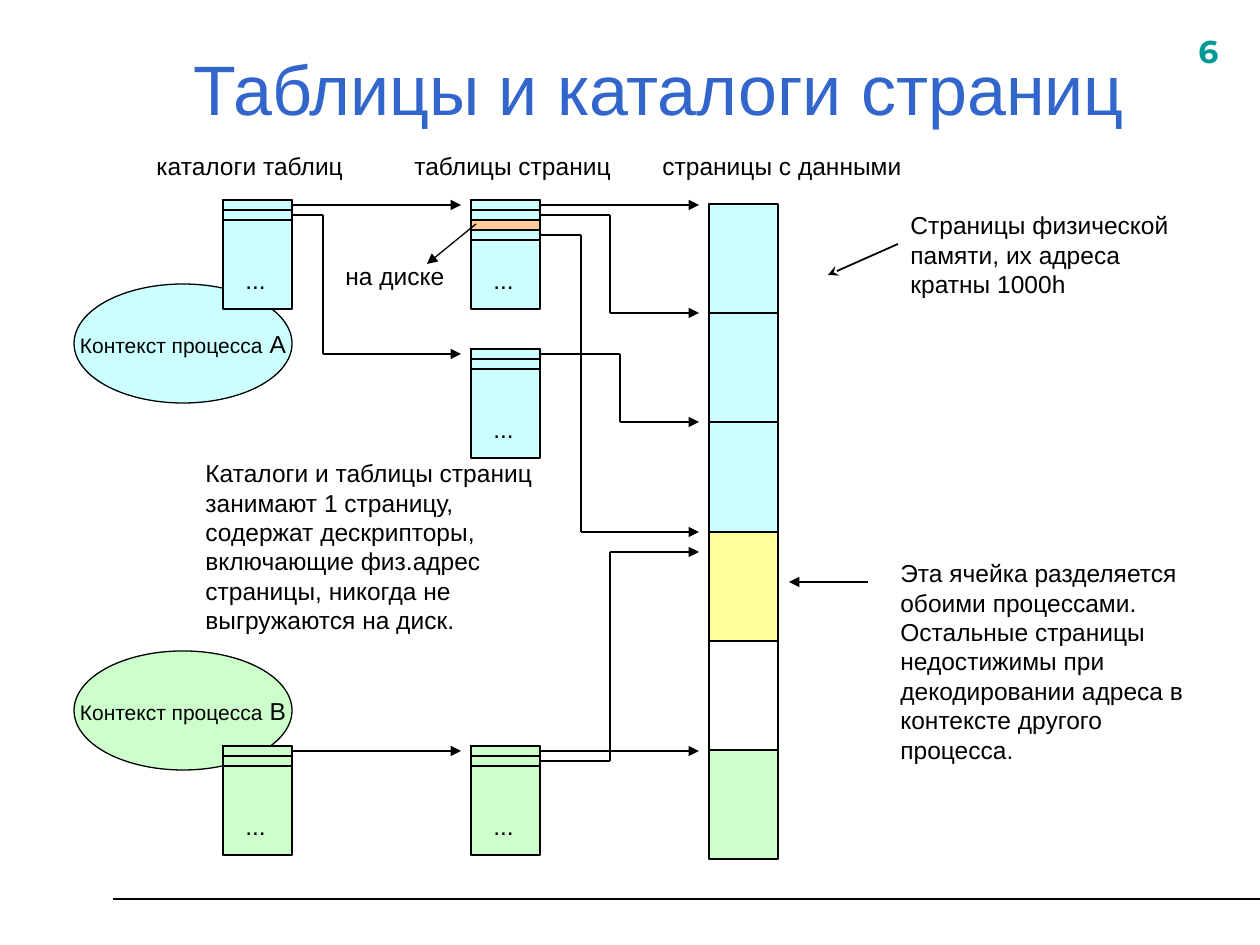
from dataclasses import dataclass

from pptx import Presentation
from pptx.dml.color import RGBColor
from pptx.enum.shapes import MSO_CONNECTOR as Connector, MSO_SHAPE as Preset
from pptx.enum.text import MSO_ANCHOR as Anchor, MSO_AUTO_SIZE as AutoSize, PP_ALIGN as Align
from pptx.oxml.ns import qn
from pptx.util import Emu, Pt
from lxml.etree import SubElement


@dataclass(frozen=True)
class Theme:
    font: str = "Arial"
    number_font: str = "Montserrat"
    ink: str = "000000"
    title: str = "3366CC"
    number: str = "009999"
    cyan: str = "CCFFFF"
    green: str = "CCFFCC"
    yellow: str = "FFFF99"
    orange: str = "FFCC99"
    white: str = "FFFFFF"
    title_size: float = 40
    number_size: float = 18
    body_size: float = 14
    small_size: float = 12
    thin: float = 0.75
    medium: float = 1
    thick: float = 1.25


THEME = Theme()
SCALE = 914400 / 126
CELL_WIDTH, TABLE_HEIGHT, ROW_HEIGHT = 69, 109, 10
DIRECTORY_X, TABLE_X, PAGE_X = 223, 471, 709
ARROW_GAP = 10


def px(value):
    return Emu(round(value * SCALE))


def apply(target, values):
    for name, value in values.items():
        setattr(target, name, value)


def place(shape, box):
    apply(shape, dict(zip(("left", "top", "width", "height"), map(px, box))))


def write(shape, runs, align=Align.LEFT, anchor=Anchor.TOP, wrap=True, fit=AutoSize.NONE):
    frame = shape.text_frame
    apply(frame, {"word_wrap": wrap, "vertical_anchor": anchor, "auto_size": fit})
    paragraph = frame.paragraphs[0]
    paragraph.alignment = align
    for text, size, color, font, bold in runs:
        run = paragraph.add_run()
        run.text = text
        apply(run.font, {"size": Pt(size), "name": font, "bold": bold})
        run.font.color.rgb = RGBColor.from_string(color)


def body(text, size=THEME.body_size):
    return text, size, THEME.ink, THEME.font, False


def add_label(slide, box, run):
    shape = slide.shapes.add_textbox(*map(px, box))
    write(shape, [run], fit=AutoSize.SHAPE_TO_FIT_TEXT)


def add_block(slide, box, color, preset=Preset.RECTANGLE, outlined=True):
    shape = slide.shapes.add_shape(preset, *map(px, box))
    shape.shadow.inherit = False
    shape.fill.solid()
    shape.fill.fore_color.rgb = RGBColor.from_string(color)
    if outlined:
        shape.line.color.rgb = RGBColor.from_string(THEME.ink)
        shape.line.width = Pt(THEME.thin)
    else:
        shape.line.fill.background()
    return shape


def add_line(slide, start, end, width=THEME.thin, head=None):
    line = slide.shapes.add_connector(Connector.STRAIGHT, *map(px, (*start, *end)))
    line.line.color.rgb = RGBColor.from_string(THEME.ink)
    line.line.width = Pt(width)
    if head:
        SubElement(line.line._get_or_add_ln(), qn("a:tailEnd"), type=head)
    SubElement(line._element.spPr, qn("a:effectLst"))
    return line


def add_route(slide, row, end, bend=None):
    start = tuple(round(value / SCALE) for value in
                  (row.left + row.width, row.top + row.height / 2))
    points = [start, end]
    if bend:
        points[1:1] = [(bend, start[1]), (bend, end[1])]
    last = len(points) - 2
    for index, (first, second) in enumerate(zip(points, points[1:])):
        line = add_line(slide, first, second, head="triangle" if index == last else None)
        if index == 0:
            line.begin_connect(row, 3)


def add_header(slide, box):
    left, top, width, height = box
    title = slide.shapes.title
    place(title, (left + 92, top + 40, width - 126, height - 50))
    write(title, [("Таблицы и каталоги страниц", THEME.title_size, THEME.title, THEME.font, False)],
          Align.CENTER, Anchor.MIDDLE)
    add_label(slide, (left + width - 74, top + 26, 79, 55),
              ("6", THEME.number_size, THEME.number, THEME.number_font, True))


def add_context(slide, box, color, letter):
    ellipse = add_block(slide, box, color, Preset.OVAL)
    write(ellipse, [body("Контекст процесса", THEME.small_size), body(f" {letter}")],
          Align.CENTER, Anchor.MIDDLE, wrap=False)


def add_page_table(slide, left, top, color, row_colors):
    add_block(slide, (left, top, CELL_WIDTH, TABLE_HEIGHT), color)
    rows = [add_block(slide, (left, top + index * ROW_HEIGHT, CELL_WIDTH, ROW_HEIGHT), row_color)
            for index, row_color in enumerate(row_colors)]
    dots = add_block(slide, (left + 10, top + 59, 49, 43), color, outlined=False)
    write(dots, [body("...")])
    return rows


def add_pages(slide, box, colors):
    left, top, width, height = box
    edges = [top + round(index * height / len(colors)) for index in range(len(colors) + 1)]
    for upper, lower, color in zip(edges, edges[1:], colors):
        add_block(slide, (left, upper, width, lower - upper), color)
    return edges


def add_diagram(slide, box):
    left, top, width, height = box
    cyan, green = THEME.cyan, THEME.green
    directory_x, table_x, page_x = (left + x for x in (DIRECTORY_X, TABLE_X, PAGE_X))
    add_context(slide, (left + 74, top + 451, 218, 119), green, "B")
    add_context(slide, (left + 74, top + 84, 218, 119), cyan, "А")
    edges = add_pages(slide, (page_x, top + 4, CELL_WIDTH, height - 4),
                      [cyan, cyan, cyan, THEME.yellow, THEME.white, green])
    directory_a = add_page_table(slide, directory_x, top, cyan, [cyan] * 2)
    table_a = add_page_table(slide, table_x, top, cyan, [cyan, cyan, THEME.orange, cyan])
    second_a = add_page_table(slide, table_x, top + 149, cyan, [cyan] * 2)
    directory_b = add_page_table(slide, directory_x, top + 546, green, [green] * 2)
    table_b = add_page_table(slide, table_x, top + 546, green, [green] * 2)

    table_end, page_end = table_x - ARROW_GAP, page_x - ARROW_GAP
    for row, end_x, end_y, bend in (
        (directory_a[0], table_end, top + 5, None),
        (directory_a[1], table_end, top + 154, left + 323),
        (table_a[0], page_end, top + 5, None),
        (table_a[1], page_end, edges[1], left + 610),
        (table_a[3], page_end, edges[3], left + 581),
        (second_a[0], page_end, edges[2], left + 620),
        (directory_b[0], table_end, top + 551, None),
        (table_b[0], page_end, top + 551, None),
        (table_b[1], page_end, edges[3] + 20, left + 610),
    ):
        add_route(slide, row, (end_x, end_y), bend)
    add_line(slide, (table_x + 5, top + 24), (left + 427, top + 64), head="triangle")
    add_label(slide, (left + 333, top + 55, 139, 43), body("на диске"))


def add_notes(slide, box):
    left, top, width, height = box
    for x, y, label_width, label_height, text in (
        (144, 0, 258, 43, "каталоги таблиц"),
        (402, 0, 248, 43, "таблицы страниц"),
        (650, 0, 268, 43, "страницы с данными"),
        (898, 59, 297, 101, "Страницы физической памяти, их адреса кратны 1000h"),
        (888, 407, 328, 219, "Эта ячейка разделяется обоими процессами. Остальные страницы "
                             "недостижимы при декодировании адреса в контексте другого процесса."),
        (193, 307, 358, 189, "Каталоги и таблицы страниц занимают 1 страницу, содержат дескрипторы, "
                             "включающие физ.адрес страницы, никогда не выгружаются на диск."),
    ):
        add_label(slide, (left + x, top + y, label_width, label_height), body(text))
    add_line(slide, (left + 898, top + 99), (left + 828, top + 130), THEME.medium, "stealth")
    add_line(slide, (left + 868, top + 437), (left + 789, top + 437), head="triangle")


def main():
    presentation = Presentation()
    apply(presentation, {"slide_width": px(1260), "slide_height": px(945)})
    slide = presentation.slides.add_slide(presentation.slide_layouts[5])
    add_line(slide, (113, 899), (1260, 899), THEME.thick)
    add_header(slide, (0, 0, 1260, 146))
    add_diagram(slide, (0, 200, 800, 659))
    add_notes(slide, (0, 145, 1260, 660))
    presentation.save("out.pptx")


if __name__ == "__main__":
    main()
